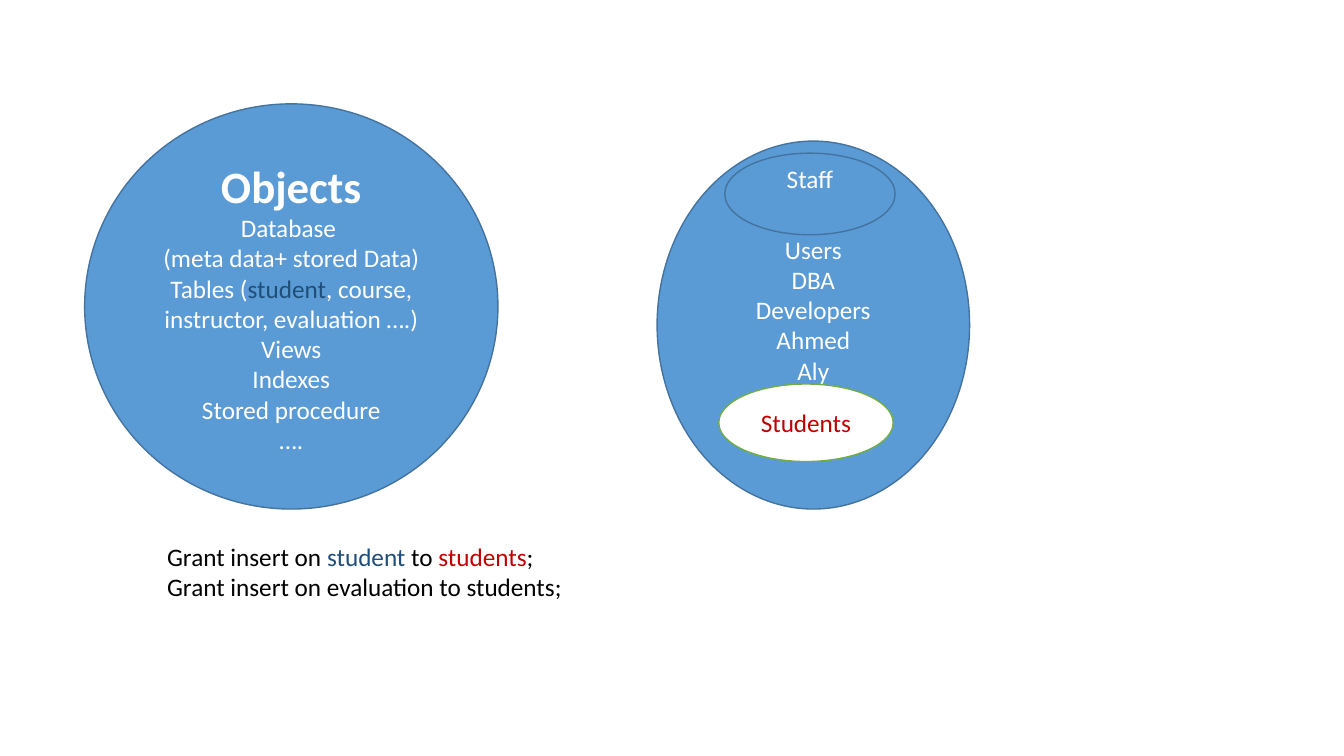
"""Build a slide on database objects, their users and the grants between them."""
from dataclasses import dataclass

from pptx import Presentation
from pptx.dml.color import RGBColor as RGB
from pptx.enum.shapes import MSO_SHAPE as SHAPE
from pptx.enum.text import MSO_ANCHOR as ANCHOR, PP_ALIGN as ALIGN
from pptx.util import Pt


@dataclass(frozen=True)
class Theme:
    font: str = "Calibri"
    body: int = 18
    heading: int = 32
    blue: str = "5B9BD5"
    edge: str = "43739E"
    green: str = "70AD47"
    white: str = "FFFFFF"
    black: str = "000000"
    navy: str = "1F4E79"
    red: str = "C00000"


T = Theme()
LINE = 22
INSET = 3.6

OBJECTS = [
    [("Objects", T.white, T.heading)],
    ["Database "],
    ["(meta data+ stored Data)"],
    ["Tables (", ("student", T.navy), ", course, instructor, evaluation ….)"],
    ["Views"],
    ["Indexes"],
    ["Stored procedure"],
    ["…."],
]
USERS = [["Users"], ["DBA"], ["Developers"], ["Ahmed"], ["Aly"]]
GRANTS = [
    ["Grant insert on ", ("student", T.navy), " to ", ("students", T.red), ";"],
    ["Grant insert on evaluation to students;"],
]
ELLIPSES = [
    ((60.5, 74.2, 295.2, 289.4), T.blue, T.edge, T.white, OBJECTS, 0),
    ((469.4, 100.8, 223.2, 262.8), T.blue, T.edge, T.white, USERS, LINE),
    ((513.4, 274.3, 124.6, 55.4), T.white, T.green, T.red, [["Students"]], 0),
    ((517.7, 109.4, 121.7, 58.3), T.blue, T.edge, T.white, [["Staff"]], LINE),
]
GRANTS_BOX = (112.3, 383, 300.2, 94.3)


def write(tf, lines, color, align):
    """Fill a text frame; a run is plain text or (text, colour[, size])."""
    for i, line in enumerate(lines):
        p = tf.add_paragraph() if i else tf.paragraphs[0]
        p.alignment = align
        for run in line:
            text, tint, *size = (run, color) if isinstance(run, str) else run
            r = p.add_run()
            r.text = text
            r.font.name = T.font
            r.font.size = Pt(size[0] if size else T.body)
            r.font.bold = bool(size)
            r.font.color.rgb = RGB.from_string(tint)


def add_ellipse(s, box, fill, edge, color, lines, lift):
    """Add an ellipse whose text is raised by a deeper bottom inset."""
    sp = s.shapes.add_shape(SHAPE.OVAL, *map(Pt, box))
    sp.shadow.inherit = False
    sp.fill.solid()
    sp.fill.fore_color.rgb = RGB.from_string(fill)
    sp.line.color.rgb = RGB.from_string(edge)
    sp.line.width = Pt(1)
    tf = sp.text_frame
    tf.word_wrap = True
    tf.vertical_anchor = ANCHOR.MIDDLE
    tf.margin_bottom = Pt(INSET + lift)
    write(tf, lines, color, ALIGN.CENTER)


prs = Presentation()
prs.slide_width, prs.slide_height = Pt(960), Pt(540)
s = prs.slides.add_slide(prs.slide_layouts[6])
for ellipse in ELLIPSES:
    add_ellipse(s, *ellipse)
tf = s.shapes.add_textbox(*map(Pt, GRANTS_BOX)).text_frame
tf.word_wrap = False
write(tf, GRANTS, T.black, ALIGN.LEFT)
prs.save("out.pptx")
